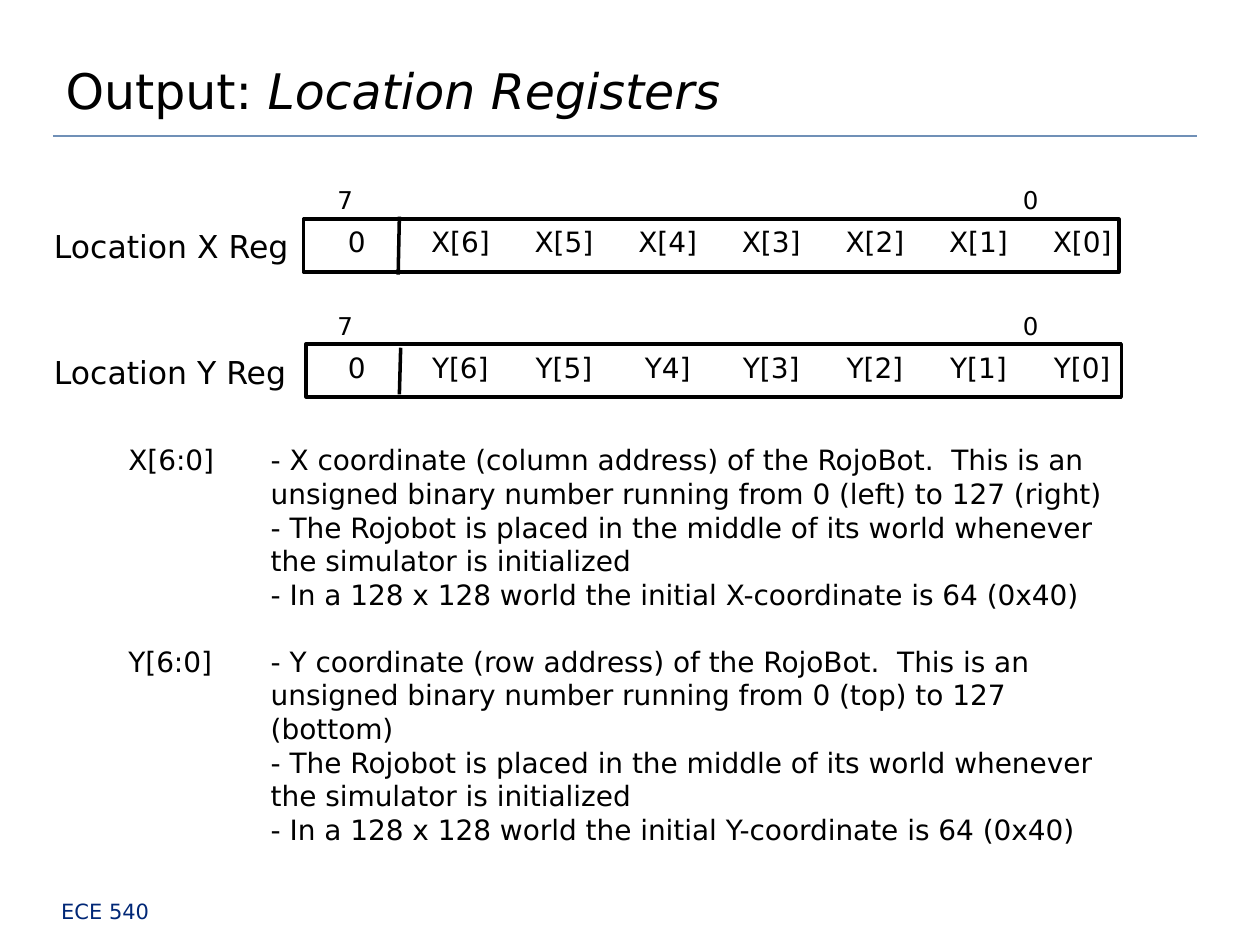
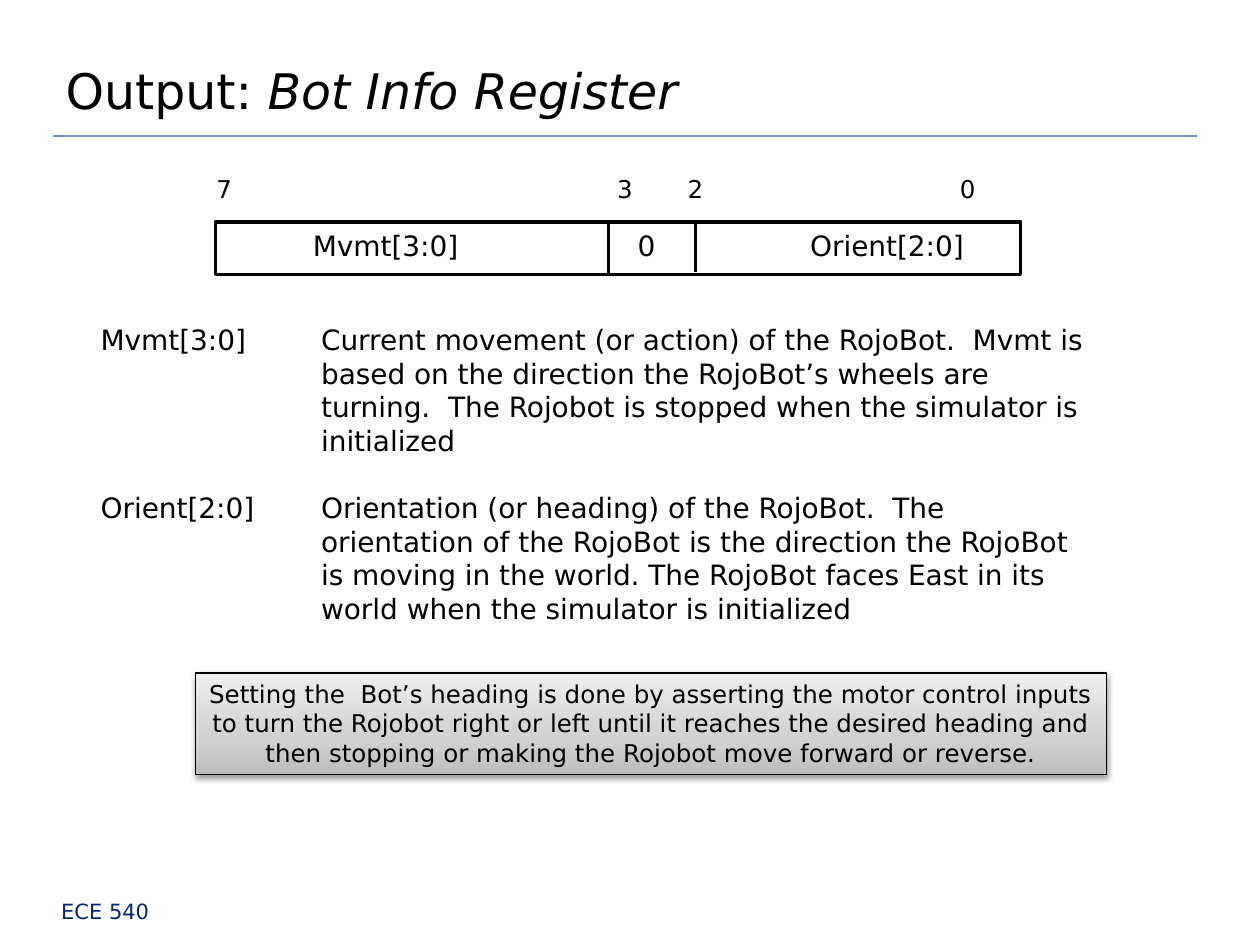
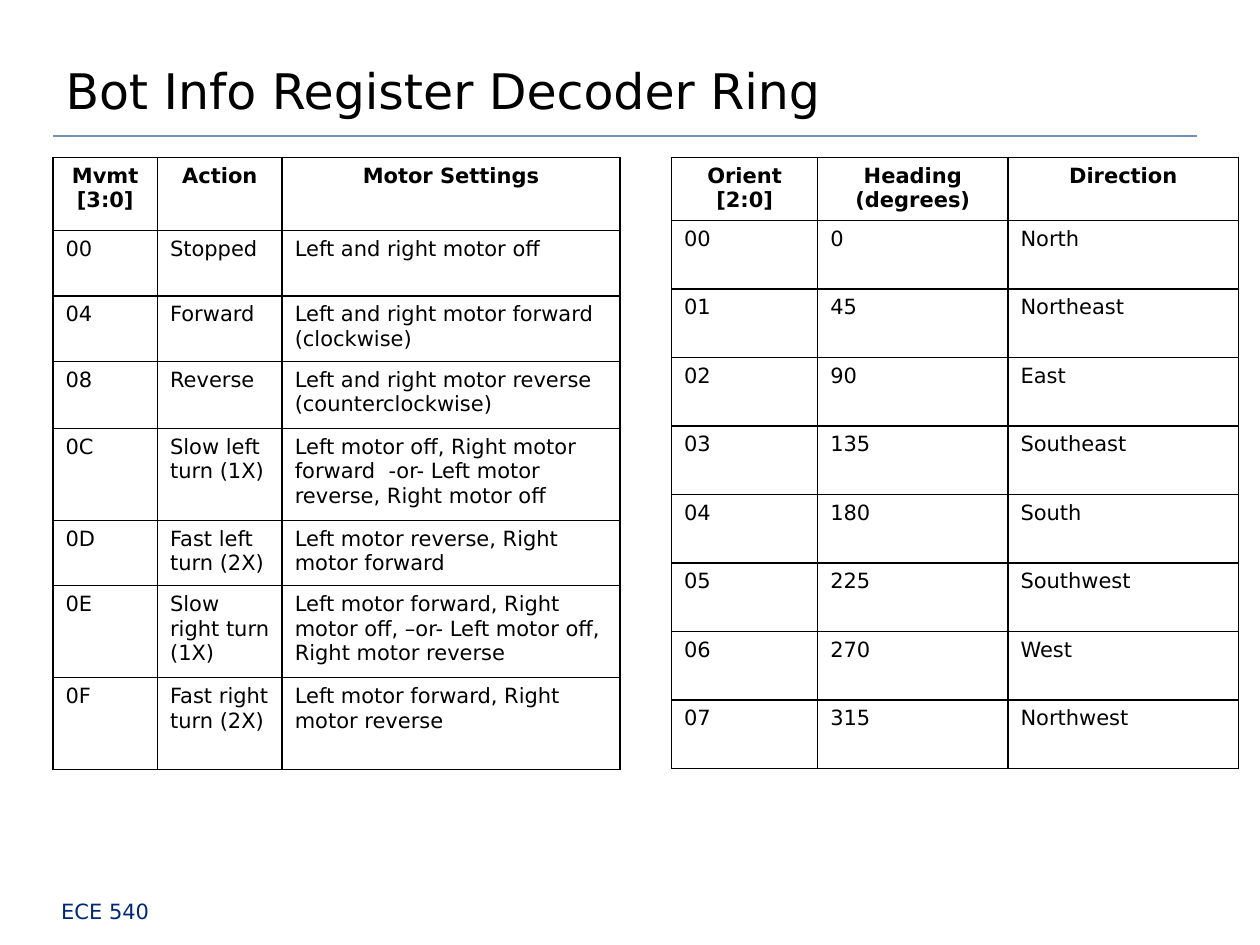
from copy import deepcopy

from lxml import etree
from pptx import Presentation
from pptx import util as u
from pptx.dml.color import RGBColor
from pptx.enum import shapes, text
from pptx.oxml import ns

FONT = "DejaVu Sans"
BLACK = "000000"
NAVY = "002776"
RULE = "7090B7"
LEFT = text.PP_ALIGN.LEFT
MID = text.PP_ALIGN.CENTER
SIDES = "LRTB"

MOVES = [
    ("Mvmt\n[3:0]", "Action", "Motor Settings"),
    ("00", "Stopped", "Left and right motor off"),
    ("04", "Forward", "Left and right motor forward (clockwise)"),
    ("08", "Reverse", "Left and right motor reverse (counterclockwise)"),
    ("0C", "Slow left turn (1X)",
     "Left motor off, Right motor forward  -or- Left motor reverse, Right motor off"),
    ("0D", "Fast left turn (2X)", "Left motor reverse, Right motor forward"),
    ("0E", "Slow right turn (1X)",
     "Left motor forward, Right motor off, –or- Left motor off, Right motor reverse"),
    ("0F", "Fast right turn (2X)", "Left motor forward, Right motor reverse"),
]
WINDS = ["North", "Northeast", "East", "Southeast",
         "South", "Southwest", "West", "Northwest"]
TURNS = [("Orient\n[2:0]", "Heading\n(degrees)", "Direction")] + [
    (f"{code:02}", str(code * 45), wind) for code, wind in enumerate(WINDS)]


def color(code):
    return RGBColor.from_string(code)


def box(at):
    return [u.Inches(v) for v in at]


def style(frame, size, align=LEFT, tint=BLACK, bold=False):
    for para in frame.paragraphs:
        para.alignment = align
        for run in para.runs:
            run.font.name = FONT
            run.font.size = u.Pt(size)
            run.font.bold = bold
            run.font.color.rgb = color(tint)


def label(slide, words, at, size, align=LEFT, tint=BLACK, wrap=True):
    frame = slide.shapes.add_textbox(*box(at)).text_frame
    frame.word_wrap = wrap
    frame.text = words
    style(frame, size, align, tint)
    return frame


def line(slide, start, end, tint=BLACK, width=2):
    link = slide.shapes.add_connector(
        shapes.MSO_CONNECTOR.STRAIGHT, *box(start), *box(end))
    link.line.color.rgb = color(tint)
    link.line.width = u.Pt(width)
    etree.SubElement(link._element.spPr, ns.qn("a:effectLst"))


def rect(slide, at, width=2):
    shape = slide.shapes.add_shape(shapes.MSO_SHAPE.RECTANGLE, *box(at))
    shape.shadow.inherit = False
    shape.fill.background()
    shape.line.color.rgb = color(BLACK)
    shape.line.width = u.Pt(width)
    return shape


def page(deck, plain, slant=""):
    slide = deck.slides.add_slide(deck.slide_layouts[5])
    line(slide, (0.42, 1.08), (9.5, 1.08), RULE, 0.75)
    label(slide, "ECE 540", (0.25, 7.08, 1.17, 0.27), 12, MID, NAVY)
    title = slide.shapes.title
    title.left, title.top, title.width, title.height = box((0.42, 0.25, 8.17, 0.75))
    frame = title.text_frame
    frame.auto_size = text.MSO_AUTO_SIZE.NONE
    frame.vertical_anchor = text.MSO_ANCHOR.BOTTOM
    frame.text = plain
    if slant:
        run = frame.paragraphs[0].add_run()
        run.text = slant
        run.font.italic = True
    style(frame, 28)
    return slide


def edge(cell, side, width):
    props = cell._tc.get_or_add_tcPr()
    ln = etree.Element(ns.qn(f"a:ln{side}"), w=str(u.Pt(width)))
    if width:
        fill = etree.SubElement(ln, ns.qn("a:solidFill"))
        etree.SubElement(fill, ns.qn("a:srgbClr"), val=BLACK)
    else:
        etree.SubElement(ln, ns.qn("a:noFill"))
    props.insert(SIDES.index(side), ln)


def grid(slide, rows, spot, cols, highs, size, width=0, head=False, bars=()):
    at = (*spot, sum(cols), sum(highs))
    table = slide.shapes.add_table(len(rows), len(cols), *box(at)).table
    table.first_row = table.horz_banding = False
    for col, wide in zip(table.columns, cols):
        col.width = u.Inches(wide)
    for r, (row, high) in enumerate(zip(rows, highs)):
        table.rows[r].height = u.Inches(high)
        for c, words in enumerate(row):
            cell = table.cell(r, c)
            cell.text = words
            cell.fill.background()
            title = head and r == 0
            style(cell.text_frame, size, MID if title or not head else LEFT, bold=title)
            for side in SIDES:
                edge(cell, side, 2 if (c, side) in bars else width)
    return table


def bits(slide, top, marks):
    for digit, mid in marks:
        label(slide, digit, (mid - 0.25, top, 0.5, 0.33), 14, MID)


def notes(slide, at, hang, groups):
    lines = [words for group in groups for words in group]
    frame = label(slide, "\n".join(lines), at, 16)
    frame.vertical_anchor = text.MSO_ANCHOR.MIDDLE
    for n, para in enumerate(frame.paragraphs):
        props = para._p.get_or_add_pPr()
        props.set("marL", str(u.Inches(hang)))
        term = "\t" in lines[n]
        props.set("indent", str(u.Inches(-hang if term else 0)))
        if term and n:
            para.space_before = u.Pt(19.2)


def callout(slide, words, at):
    shape = rect(slide, at, 0.75)
    shape.fill.gradient()
    shape.fill.gradient_angle = 90
    stops = shape._element.spPr.find(".//" + ns.qn("a:gsLst"))
    stops.insert(1, deepcopy(stops[0]))
    shades = [(0, "BDBDBD"), (0.35, "D1D1D1"), (1, "EEEEEE")]
    for stop, (place, tint) in zip(shape.fill.gradient_stops, shades):
        stop.position = place
        stop.color.rgb = color(tint)
    glow = etree.SubElement(
        shape._element.spPr.find(ns.qn("a:effectLst")), ns.qn("a:outerShdw"),
        blurRad=str(u.Pt(3.1)), dist=str(u.Pt(1.6)), dir="5400000", rotWithShape="0")
    tone = etree.SubElement(glow, ns.qn("a:srgbClr"), val=BLACK)
    etree.SubElement(tone, ns.qn("a:alpha"), val="38000")
    frame = shape.text_frame
    frame.word_wrap = True
    frame.vertical_anchor = text.MSO_ANCHOR.TOP
    frame.text = words
    style(frame, 14, MID)


def axis(name, kind, low, high):
    return [
        f"{name}[6:0]\t- {name} coordinate ({kind} address) of the RojoBot.  This is an "
        f"unsigned binary number running from 0 ({low}) to 127 ({high})",
        "- The Rojobot is placed in the middle of its world whenever "
        "the simulator is initialized",
        f"- In a 128 x 128 world the initial {name}-coordinate is 64 (0x40)",
    ]


def places(deck):
    slide = page(deck, "Output: ", "Location Registers")
    notes(slide, (0.92, 3.45, 8.08, 3.33), 1.13,
          [axis("X", "column", "left", "right"), axis("Y", "row", "top", "bottom")])
    cells = {name: ["0"] + [f"{name}[{n}]" for n in range(6, -1, -1)] for name in "XY"}
    cells["Y"][3] = "Y4]"
    for name, top in (("X", 1.75), ("Y", 2.75)):
        bits(slide, top - 0.33, [("7", 2.74), ("0", 8.18)])
        grid(slide, [cells[name]], (2.42, top), [6.58 / 8] * 8, [0.42], 16)
        label(slide, f"Location {name} Reg", (0.33, top, 2.08, 0.4), 18, wrap=False)
    rect(slide, (2.41, 1.74, 6.47, 0.42))
    line(slide, (3.17, 1.72), (3.16, 2.18))
    rect(slide, (2.43, 2.73, 6.47, 0.42))
    line(slide, (3.18, 2.76), (3.17, 3.13))


def info(deck):
    slide = page(deck, "Output: ", "Bot Info Register")
    notes(slide, (0.7, 2.5, 8.08, 2.52), 1.75, [
        ["Mvmt[3:0]\tCurrent movement (or action) of the RojoBot.  Mvmt is based on the "
         "direction the RojoBot’s wheels are turning.  The Rojobot is stopped when the "
         "simulator is initialized"],
        ["Orient[2:0]\tOrientation (or heading) of the RojoBot.  The orientation of the "
         "RojoBot is the direction the RojoBot is moving in the world. The RojoBot faces "
         "East in its world when the simulator is initialized"],
    ])
    bits(slide, 1.33, [("7", 1.78), ("3", 4.96), ("2", 5.52), ("0", 7.68)])
    table = grid(slide, [("Mvmt[3:0]", "0", "Orient[2:0]")], (1.29, 1.78),
                 [3.54, 0.88, 2.66], [0.39], 16, bars=[(0, "R"), (1, "L")])
    zero = table.cell(0, 1)
    zero.text_frame.paragraphs[0].alignment = LEFT
    zero.margin_left = u.Inches(0.23)
    callout(slide,
            "Setting the  Bot’s heading is done by asserting the motor control inputs\n"
            "to turn the Rojobot right or left until it reaches the desired heading and "
            "then stopping or making the Rojobot move forward or reverse.",
            (1.55, 5.34, 7.23, 0.81))
    rect(slide, (1.71, 1.76, 6.39, 0.42))
    line(slide, (5.52, 1.75), (5.52, 2.16))


def decode(deck):
    slide = page(deck, "Bot Info Register Decoder Ring")
    grid(slide, MOVES, (0.42, 1.25), [0.83, 0.99, 2.68],
         [0.58, 0.52, 0.52, 0.53, 0.73, 0.52, 0.73, 0.73], 12, 1, True)
    grid(slide, TURNS, (5.33, 1.25), [1.16, 1.51, 1.83],
         [0.5] + [4.35 / 8] * 8, 12, 1, True)


def main():
    deck = Presentation()
    deck.slide_width, deck.slide_height = box((10, 7.5))
    places(deck)
    info(deck)
    decode(deck)
    deck.save("out.pptx")


if __name__ == "__main__":
    main()
